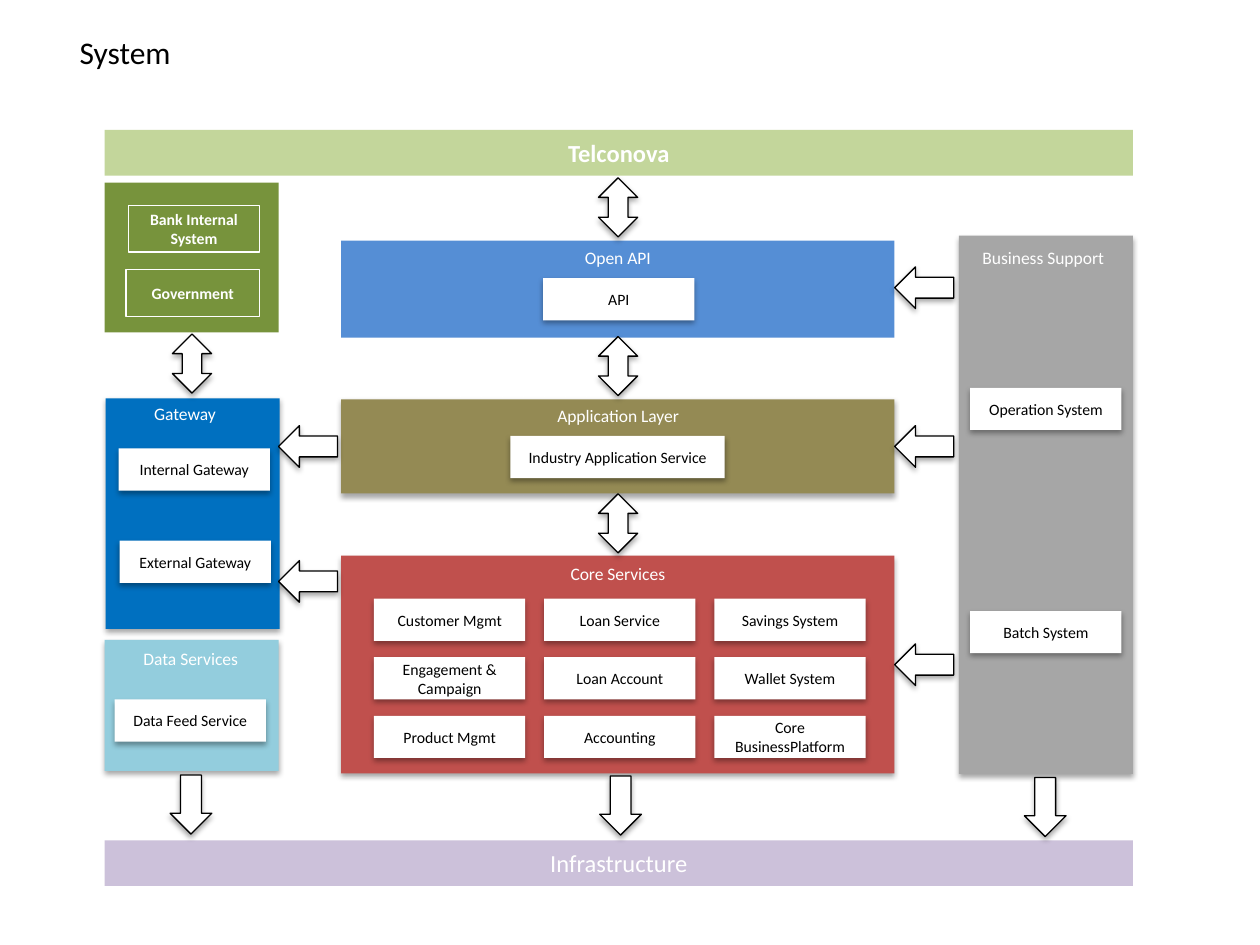
import pptx
import pptx.dml.color
import pptx.enum.shapes
import pptx.enum.text
import pptx.oxml
import pptx.oxml.ns
import pptx.util

Cm = pptx.util.Cm
Pt = pptx.util.Pt
PRESET = pptx.enum.shapes.MSO_SHAPE
ALIGN = pptx.enum.text.PP_ALIGN
ANCHOR = pptx.enum.text.MSO_ANCHOR

COLORS = {
    "black": "000000", "white": "FFFFFF",
    "operator": "C3D69B", "external": "77933C", "api": "558ED5",
    "application": "948A54", "core": "C0504D", "gateway": "0070C0",
    "data": "93CDDD", "support": "A6A6A6", "infrastructure": "CCC1DA",
}
SHADOW_XML = (
    '<a:outerShdw %s blurRad="40000" dist="23000" dir="5400000" rotWithShape="0">'
    '<a:srgbClr val="000000"><a:alpha val="35000"/></a:srgbClr></a:outerShdw>'
    % pptx.oxml.ns.nsdecls("a")
)
ARROW_LENGTH = 1.19
COMPONENT_WIDTH, COMPONENT_HEIGHT = 3.05, 0.85

# fill, left, top, width, height, shadow
PANELS = [
    ("external", 2.11, 3.68, 3.51, 3.02, False),
    ("gateway", 2.13, 8.03, 3.51, 4.65, True),
    ("data", 2.11, 12.9, 3.51, 2.64, True),
    ("api", 6.88, 4.85, 11.15, 1.96, False),
    ("application", 6.88, 8.05, 11.15, 1.9, True),
    ("core", 6.88, 11.2, 11.15, 4.39, True),
    ("support", 19.33, 4.75, 3.51, 10.85, True),
]
# text, left, top, width
LABELS = [
    ("Open API", 11.53, 4.85, 1.85),
    ("Application Layer", 10.95, 8.05, 3.02),
    ("Core Services", 11.2, 11.23, 2.51),
    ("Gateway", 2.84, 8, 1.78),
    ("Data Services", 2.59, 12.93, 2.51),
    ("Business Support", 19.53, 4.85, 3),
]
# text, left, top
COMPONENTS = [
    ("API", 10.95, 5.61),
    ("Internal Gateway", 2.39, 9.04),
    ("External Gateway", 2.41, 10.9),
    ("Data Feed Service", 2.31, 14.1),
    ("Operation System", 19.56, 7.82),
    ("Batch System", 19.56, 12.32),
]
CORE_GRID = [
    ["Customer Mgmt", "Loan Service", "Savings System"],
    ["Engagement & Campaign", "Loan Account", "Wallet System"],
    ["Product Mgmt", "Accounting", "Core BusinessPlatform"],
]
# preset, rotation, thickness, centres
ARROWS = [
    (PRESET.LEFT_RIGHT_ARROW, 90, 0.79,
     [(12.46, 4.18), (12.46, 7.38), (12.46, 10.55), (3.87, 7.33)]),
    (PRESET.RIGHT_ARROW, 180, 0.84,
     [(18.63, 5.8), (18.63, 9), (18.63, 13.4), (6.21, 9), (6.21, 11.72)]),
    (PRESET.RIGHT_ARROW, 90, 0.84,
     [(3.85, 16.22), (12.51, 16.24), (21.07, 16.27)]),
]


def rgb(name):
    return pptx.dml.color.RGBColor.from_string(COLORS[name])


def write_text(shape, text, size, color, bold=False, align=ALIGN.CENTER):
    shape.text_frame.text = text
    paragraph = shape.text_frame.paragraphs[0]
    paragraph.alignment = align
    font = paragraph.runs[0].font
    font.name = "Calibri"
    font.size = Pt(size)
    font.bold = bold
    font.color.rgb = rgb(color)


def add_box(slide, left, top, width, height, fill=None, line=None,
            shadow=False, preset=PRESET.RECTANGLE):
    shape = slide.shapes.add_shape(
        preset, Cm(left), Cm(top), Cm(width), Cm(height))
    if fill:
        shape.fill.solid()
        shape.fill.fore_color.rgb = rgb(fill)
    else:
        shape.fill.background()
    if line:
        shape.line.color.rgb = rgb(line)
        shape.line.width = Pt(0.75)
    else:
        shape.line.fill.background()
    shape.shadow.inherit = False
    if shadow:
        effects = shape._element.spPr.find(pptx.oxml.ns.qn("a:effectLst"))
        effects.append(pptx.oxml.parse_xml(SHADOW_XML))
    shape.text_frame.word_wrap = True
    shape.text_frame.vertical_anchor = ANCHOR.MIDDLE
    return shape


def add_bar(slide, text, top, fill, bold=False):
    bar = add_box(slide, 2.11, top, 20.73, 0.92, fill)
    write_text(bar, text, 14, "white", bold)


def add_component(slide, text, left, top, width=COMPONENT_WIDTH):
    box = add_box(slide, left, top, width, COMPONENT_HEIGHT, "white", shadow=True)
    write_text(box, text, 9, "black")


def add_external_system(slide, text, left, top, width):
    box = add_box(slide, left, top, width, 0.94, line="white")
    write_text(box, text, 9, "white", bold=True)


def add_label(slide, text, left, top, width):
    label = slide.shapes.add_textbox(Cm(left), Cm(top), Cm(width), Cm(0.69))
    label.text_frame.word_wrap = False
    write_text(label, text, 10, "white")


def add_arrow(slide, preset, rotation, thickness, center_x, center_y):
    arrow = add_box(slide, center_x - ARROW_LENGTH / 2, center_y - thickness / 2,
                    ARROW_LENGTH, thickness, "white", "black", True, preset)
    arrow.rotation = rotation


def set_title(slide, text):
    title = slide.shapes.title
    title.left, title.top, title.width, title.height = (
        Cm(1.35), Cm(0.53), Cm(2.36), Cm(1.02))
    frame = title.text_frame
    write_text(title, text, 18, "black", align=ALIGN.LEFT)
    frame.word_wrap = False
    frame.auto_size = pptx.enum.text.MSO_AUTO_SIZE.NONE
    frame.vertical_anchor = ANCHOR.TOP


def main():
    presentation = pptx.Presentation()
    presentation.slide_width, presentation.slide_height = Cm(25.4), Cm(19.05)
    slide = presentation.slides.add_slide(presentation.slide_layouts[5])
    set_title(slide, "System")

    add_bar(slide, "Telconova", 2.62, "operator", bold=True)
    add_bar(slide, "Infrastructure", 16.94, "infrastructure")
    for fill, left, top, width, height, shadow in PANELS:
        add_box(slide, left, top, width, height, fill, shadow=shadow)
    for label in LABELS:
        add_label(slide, *label)

    add_external_system(slide, "Bank Internal System", 2.59, 4.14, 2.64)
    add_external_system(slide, "Government", 2.54, 5.44, 2.69)
    for component in COMPONENTS:
        add_component(slide, *component)
    add_component(slide, "Industry Application Service", 10.29, 8.79, 4.32)
    for row, names in enumerate(CORE_GRID):
        for column, name in enumerate(names):
            add_component(slide, name, 7.54 + 3.43 * column, 12.07 + 1.18 * row)

    for preset, rotation, thickness, centers in ARROWS:
        for center_x, center_y in centers:
            add_arrow(slide, preset, rotation, thickness, center_x, center_y)

    presentation.save("out.pptx")


if __name__ == "__main__":
    main()
